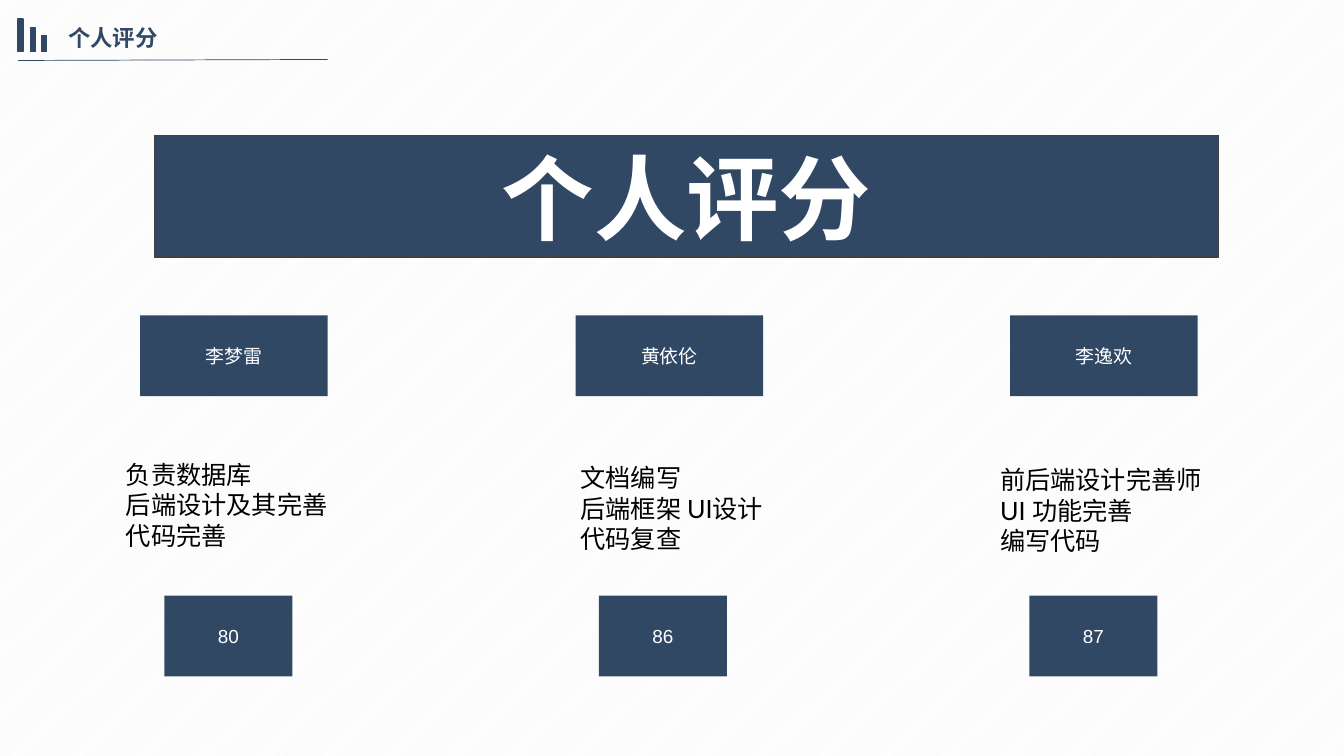
from lxml import etree
from pptx import Presentation
from pptx.dml.color import RGBColor
from pptx.enum import dml, shapes, text
from pptx.oxml import ns
from pptx.util import Inches, Pt

NAVY = "314865"
WHITE = "FFFFFF"


def color(value):
    return RGBColor.from_string(value)


def write(shape, content, size, font, ink, align, bold=False):
    frame = shape.text_frame
    frame.word_wrap = True
    frame.text = content
    for paragraph in frame.paragraphs:
        paragraph.alignment = align
        for run in paragraph.runs:
            run.font.size = Pt(size)
            run.font.name = font
            run.font.bold = bold
            run.font.color.rgb = color(ink)


presentation = Presentation()
presentation.slide_width = Inches(13.33)
presentation.slide_height = Inches(7.5)
slide = presentation.slides.add_slide(presentation.slide_layouts[6])

background = slide.background.fill
background.patterned()
background.pattern = dml.MSO_PATTERN.DARK_UPWARD_DIAGONAL
background.fore_color.rgb = color("F2F2F2")
background.back_color.rgb = color(WHITE)

underline = slide.shapes.add_connector(
    shapes.MSO_CONNECTOR.STRAIGHT, Inches(0.18), Inches(0.6), Inches(3.25), Inches(0.59))
underline.line.color.rgb = color(NAVY)
underline.line.width = Pt(0.5)
etree.SubElement(underline.element.spPr, ns.qn("a:effectLst"))

heading = slide.shapes.add_textbox(Inches(0.58), Inches(0.19), Inches(2.66), Inches(0.37))
write(heading, "个人评分", 16, "Arial", NAVY, text.PP_ALIGN.JUSTIFY, bold=True)
heading.text_frame.auto_size = text.MSO_AUTO_SIZE.SHAPE_TO_FIT_TEXT

icon_bars = [(left, top, 0.05, 0.51 - top, "", 12, NAVY, 1)
             for left, top in [(0.18, 0.19), (0.3, 0.28), (0.41, 0.35)]]
banner = (1.53, 1.34, 10.56, 1.21, "个人评分", 66, "404040", 0.75)
name_boxes = [(left, 3.13, 1.86, 0.8, name, 13.5, None, 0)
              for left, name in [(1.39, "李梦雷"), (5.71, "黄依伦"), (10.02, "李逸欢")]]
score_boxes = [(left, 5.91, 1.27, 0.8, score, 13.5, None, 0)
               for left, score in [(1.63, "80"), (5.94, "86"), (10.21, "87")]]

for left, top, width, height, label, size, outline, weight in [
        *icon_bars, banner, *name_boxes, *score_boxes]:
    box = slide.shapes.add_shape(
        shapes.MSO_SHAPE.RECTANGLE, Inches(left), Inches(top), Inches(width), Inches(height))
    box.shadow.inherit = False
    box.fill.solid()
    box.fill.fore_color.rgb = color(NAVY)
    if outline:
        box.line.color.rgb = color(outline)
        box.line.width = Pt(weight)
    else:
        box.line.fill.background()
    if label:
        write(box, label, size, "Arial", WHITE, text.PP_ALIGN.CENTER, bold=size == 66)

duties = [
    (1.15, 4.51, 2.75, "负责数据库\n后端设计及其完善\n代码完善"),
    (5.66, 4.54, 3.23, "文档编写\n后端框架 UI设计\n代码复查"),
    (9.82, 4.56, 3.51, "前后端设计完善师\nUI 功能完善\n编写代码"),
]
for left, top, width, content in duties:
    duty = slide.shapes.add_textbox(Inches(left), Inches(top), Inches(width), Inches(1.01))
    write(duty, content, 18, "Lato", "000000", text.PP_ALIGN.LEFT)
    duty.text_frame.auto_size = text.MSO_AUTO_SIZE.SHAPE_TO_FIT_TEXT

presentation.save("out.pptx")
